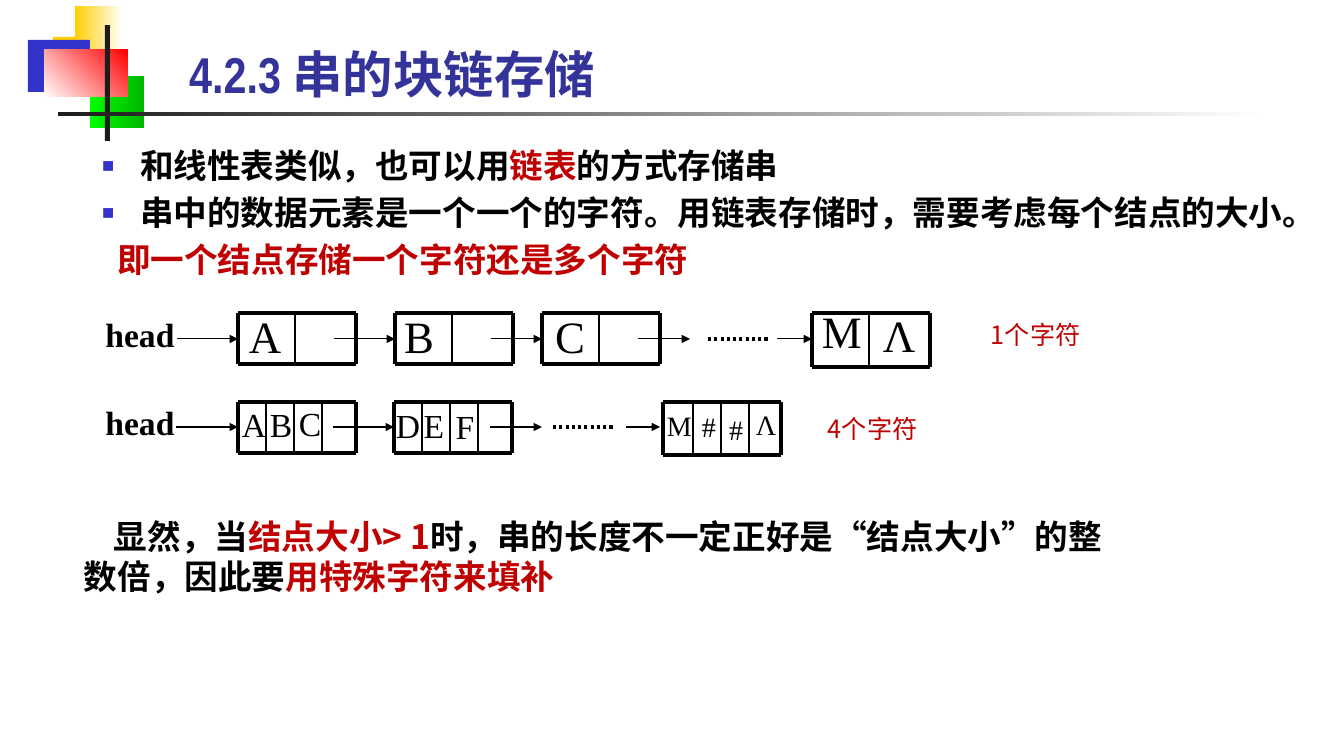
"""Build the slide on block-linked storage of strings."""
from lxml import etree
from pptx import Presentation
from pptx.dml.color import RGBColor
from pptx.enum.dml import MSO_LINE
from pptx.enum.shapes import MSO_CONNECTOR, MSO_SHAPE
from pptx.enum.text import MSO_ANCHOR, MSO_AUTO_SIZE, PP_ALIGN
from pptx.oxml.ns import qn
from pptx.util import Pt

PX = 9071
STRAIGHT = MSO_CONNECTOR.STRAIGHT
RECTANGLE = MSO_SHAPE.RECTANGLE
DOTTED = MSO_LINE.ROUND_DOT
LEFT, CENTER = PP_ALIGN.LEFT, PP_ALIGN.CENTER
BOTTOM, TOP = MSO_ANCHOR.BOTTOM, MSO_ANCHOR.TOP
NO_FIT = MSO_AUTO_SIZE.NONE
SERIF, SANS, NARROW = "Times New Roman", "Noto Sans CJK SC", "Arial Narrow"
COLORS = {
    "black": "000000", "white": "FFFFFF", "accent": "C00000", "title": "333399",
    "yellow": "FFCF01", "blue": "3333CC", "lime": "00FF00", "green": "00B600",
    "red": "FF0000", "charcoal": "1C1C1C",
}

presentation = Presentation()
presentation.slide_width = 1344 * PX
presentation.slide_height = 756 * PX
slide = presentation.slides.add_slide(presentation.slide_layouts[1])
shapes = slide.shapes


def add_runs(paragraph, runs, size, font, bold=False):
    for text, color in runs:
        run = paragraph.add_run()
        run.text = text
        run.font.size = Pt(size)
        run.font.name = font
        run.font.bold = bold
        run.font.color.rgb = RGBColor.from_string(COLORS[color])
        east_asian = SANS if font == NARROW else font
        etree.SubElement(run.font._element, qn("a:ea"), typeface=east_asian)


def add_line(x1, y1, x2, y2, width, arrow=False, dotted=False):
    connector = shapes.add_connector(STRAIGHT, x1 * PX, y1 * PX, x2 * PX, y2 * PX)
    connector.line.width = Pt(width)
    connector.line.color.rgb = RGBColor.from_string(COLORS["black"])
    properties = connector._element.spPr
    if dotted:
        connector.line.dash_style = DOTTED
    if arrow:
        etree.SubElement(properties.find(qn("a:ln")), qn("a:tailEnd"), type="triangle")
    etree.SubElement(properties, qn("a:effectLst"))


decorations = [
    (53, 37, 65, 52, "yellow", None, 0),
    (75, 6, 48, 52, "yellow", "white", 0),
    (28, 40, 62, 52, "blue", None, 0),
    (90, 76, 54, 52, "lime", "green", 0),
    (44, 50, 84, 47, "white", "red", 45),
    (105, 25, 5, 116, "charcoal", None, 0),
    (58, 112, 1210, 4, "charcoal", "white", 0),
]
for left, top, width, height, start, end, angle in decorations:
    block = shapes.add_shape(RECTANGLE, left * PX, top * PX, width * PX, height * PX)
    block.shadow.inherit = False
    block.line.fill.background()
    if end:
        block.fill.gradient()
        block.fill.gradient_angle = angle
        for stop, color in zip(block.fill.gradient_stops, (start, end)):
            stop.color.rgb = RGBColor.from_string(COLORS[color])
    else:
        block.fill.solid()
        block.fill.fore_color.rgb = RGBColor.from_string(COLORS[start])

title, body = slide.placeholders
title.left, title.top, title.width, title.height = 179 * PX, 25 * PX, 1145 * PX, 84 * PX
title.text_frame.vertical_anchor = BOTTOM
title.text_frame.auto_size = NO_FIT
heading = title.text_frame.paragraphs[0]
heading.alignment = LEFT
add_runs(heading, [("4.2.3 串的块链存储", "title")], 36, NARROW, True)

body.left, body.top, body.width, body.height = 92 * PX, 140 * PX, 1253 * PX, 339 * PX
body.text_frame.vertical_anchor = TOP
body.text_frame.auto_size = NO_FIT
points = [
    (True, [("和线性表类似，也可以用", "black"), ("链表", "accent"),
            ("的方式存储串", "black")]),
    (True, [("串中的数据元素是一个一个的字符。用链表存储时，需要考虑每个结点的大小。",
             "black")]),
    (False, [("即一个结点存储一个字符还是多个字符", "accent")]),
]
for index, (bulleted, runs) in enumerate(points):
    frame = body.text_frame
    paragraph = frame.add_paragraph() if index else frame.paragraphs[0]
    paragraph.alignment = LEFT
    paragraph.line_spacing = 1.0
    paragraph.space_before = Pt(4.8)
    add_runs(paragraph, runs, 24, SANS, True)
    format_element = paragraph._p.get_or_add_pPr()
    format_element.set("marL", str((38 if bulleted else 0) * PX))
    format_element.set("indent", str((-38 if bulleted else 15) * PX))
    if bulleted:
        bullet_color = etree.SubElement(format_element, qn("a:buClr"))
        etree.SubElement(bullet_color, qn("a:srgbClr"), val=COLORS["blue"])
        etree.SubElement(format_element, qn("a:buSzPct"), val="60000")
        etree.SubElement(format_element, qn("a:buChar"), char="■")
    else:
        etree.SubElement(format_element, qn("a:buNone"))

nodes = [
    (238, 313, 51, [57]), (395, 313, 51, [57]), (542, 313, 51, [57]),
    (812, 313, 54, [57]),
    (238, 402, 51, [28, 56, 84]), (394, 402, 51, [28, 56, 84]),
    (663, 402, 53, [30, 58, 86]),
]
for left, top, height, dividers in nodes:
    right, bottom = left + 118, top + height
    for y in (top, bottom):
        add_line(left, y, right, y, 2.25)
    for x in (left, right):
        add_line(x, top, x, bottom, 2.25)
    for offset in dividers:
        add_line(left + offset, top, left + offset, bottom, 1)

links = [
    (339, [(177, 238), (334, 395), (491, 542), (638, 690), (777, 812)], (708, 769)),
    (427, [(176, 238), (333, 394), (490, 542), (626, 660)], (553, 614)),
]
for y, arrows, (dots_start, dots_end) in links:
    for start, end in arrows:
        add_line(start, y, end, y, 0.75, arrow=True)
    add_line(dots_start, y, dots_end, y, 2.25, dotted=True)

letters = [
    ("A", 265, 318, 32), ("B", 419, 318, 32), ("C", 570, 318, 32),
    ("M", 840, 313, 32), ("Λ", 899, 313, 32),
    ("A", 254, 410, 24), ("B", 281, 410, 24), ("C", 310, 409, 24),
    ("D", 408, 411, 24), ("E", 434, 411, 24), ("F", 465, 412, 24),
    ("M", 679, 413, 20), ("#", 709, 414, 20), ("#", 736, 417, 20),
    ("Λ", 766, 409, 20),
]
for letter, center, top, size in letters:
    width, height = (56, 50) if size == 32 else (44, 37)
    box = shapes.add_textbox((center - width // 2) * PX, top * PX, width * PX, height * PX)
    box.text_frame.word_wrap = True
    paragraph = box.text_frame.paragraphs[0]
    paragraph.alignment = CENTER
    paragraph.line_spacing = 0.8 if letter == "Λ" else 0.7
    paragraph.space_before = Pt(size * 0.2)
    add_runs(paragraph, [(letter, "black")], size, SERIF)

for top in (309, 397):
    box = shapes.add_textbox(95 * PX, top * PX, 90 * PX, 51 * PX)
    box.text_frame.word_wrap = False
    paragraph = box.text_frame.paragraphs[0]
    paragraph.alignment = CENTER
    paragraph.space_before = Pt(12)
    add_runs(paragraph, [("head", "black")], 24, SERIF, True)

for label, left, top in (("1个字符", 981, 314), ("4个字符", 818, 408)):
    box = shapes.add_textbox(left * PX, top * PX, 110 * PX, 40 * PX)
    box.text_frame.word_wrap = True
    add_runs(box.text_frame.paragraphs[0], [(label, "accent")], 18, SANS)

conclusion = shapes.add_textbox(24 * PX, 511 * PX, 1119 * PX, 92 * PX)
conclusion.text_frame.word_wrap = True
paragraph = conclusion.text_frame.paragraphs[0]
add_runs(paragraph, [
    ("显然，当", "black"),
    ("结点大小> 1", "accent"),
    ("时，串的长度不一定正好是“结点大小”的整数倍，因此要", "black"),
    ("用特殊字符来填补", "accent"),
], 24, SANS, True)
format_element = paragraph._p.get_or_add_pPr()
format_element.set("marL", str(50 * PX))
format_element.set("indent", str(30 * PX))

presentation.save("out.pptx")
